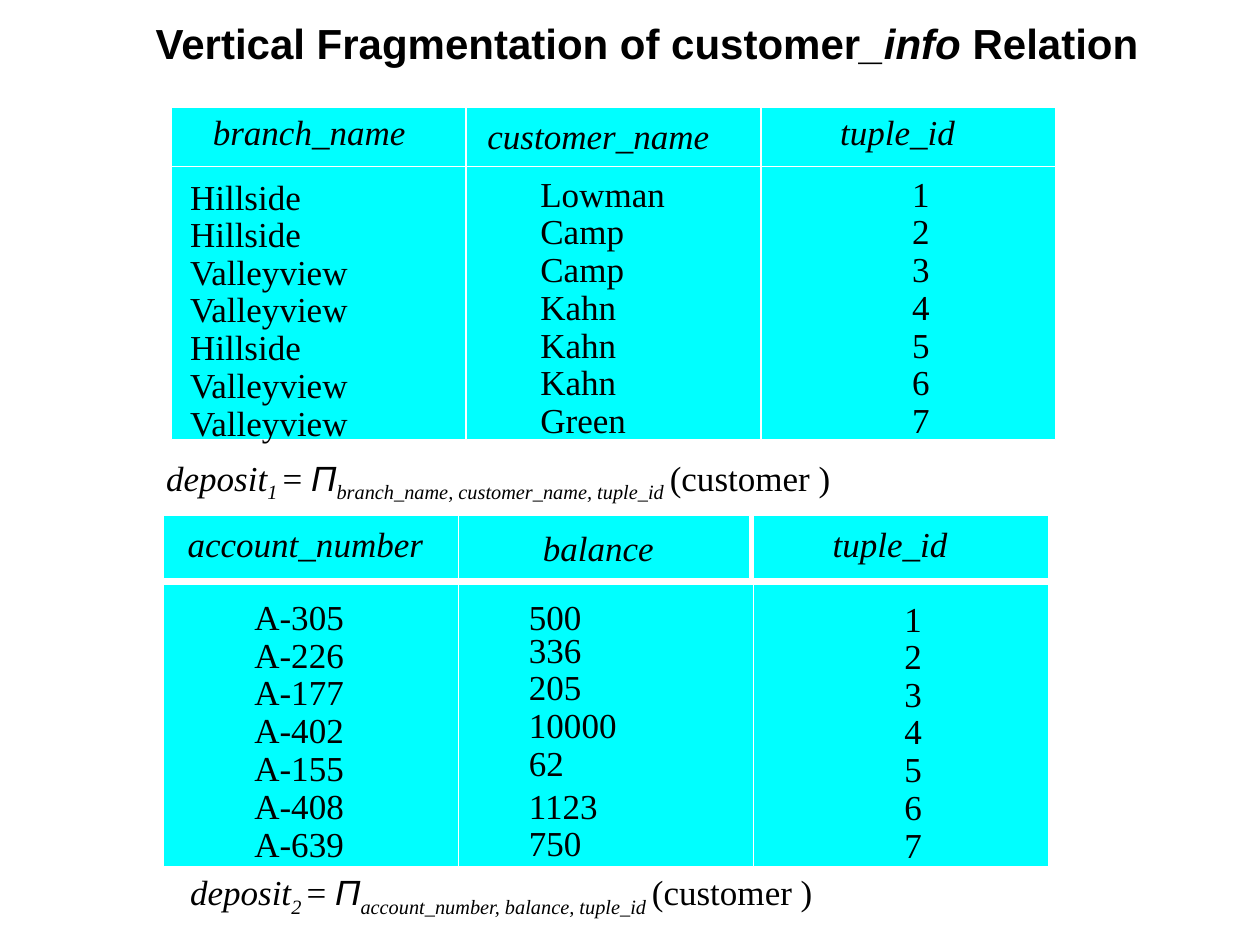
import dataclasses

import pptx
import pptx.dml.color
import pptx.enum.shapes
import pptx.enum.text
import pptx.util

EMU_PER_PX = 9144


@dataclasses.dataclass(frozen=True)
class Theme:
    cell: str = "00FFFF"
    border: str = "FFFFFF"
    text: str = "000000"
    title_font: str = "Arial"
    body_font: str = "Times New Roman"
    title_size: int = 24
    body_size: int = 20
    border_width: float = 0.75


THEME = Theme()
COLUMN_WIDTH = 234
HEADER_HEIGHT = 50
TUPLE_IDS = ["1", "2", "3", "4", "5", "6", "7"]


@dataclasses.dataclass(frozen=True)
class Column:
    name: str
    name_box: tuple
    values: list
    values_box: tuple
    spacings: tuple = (1,) + (0.9,) * 6
    header_width: int = COLUMN_WIDTH


def px(length):
    return pptx.util.Emu(length * EMU_PER_PX)


def colour(value):
    return pptx.dml.color.RGBColor.from_string(value)


def add_cell(slide, left, top, width, height):
    shape = slide.shapes.add_shape(
        pptx.enum.shapes.MSO_SHAPE.RECTANGLE, px(left), px(top), px(width), px(height))
    shape.shadow.inherit = False
    shape.fill.solid()
    shape.fill.fore_color.rgb = colour(THEME.cell)
    shape.line.color.rgb = colour(THEME.border)
    shape.line.width = pptx.util.Pt(THEME.border_width)


def add_text_frame(slide, box, wrap=False):
    frame = slide.shapes.add_textbox(*map(px, box)).text_frame
    frame.word_wrap = wrap
    frame.auto_size = pptx.enum.text.MSO_AUTO_SIZE.SHAPE_TO_FIT_TEXT
    return frame


def style_paragraph(paragraph, font=THEME.body_font, size=THEME.body_size):
    paragraph.font.name = font
    paragraph.font.size = pptx.util.Pt(size)
    paragraph.font.color.rgb = colour(THEME.text)


def add_run(paragraph, text, italic=False, subscript=False, font=None):
    run = paragraph.add_run()
    run.text = text
    run.font.italic = italic
    if font:
        run.font.name = font
    if subscript:
        run._r.get_or_add_rPr().set("baseline", "-25000")


def add_title(slide):
    frame = add_text_frame(slide, (65, 7, 897, 58), wrap=True)
    frame.auto_size = pptx.enum.text.MSO_AUTO_SIZE.NONE
    frame.vertical_anchor = pptx.enum.text.MSO_ANCHOR.MIDDLE
    paragraph = frame.paragraphs[0]
    paragraph.alignment = pptx.enum.text.PP_ALIGN.CENTER
    paragraph.line_spacing = 0.9
    style_paragraph(paragraph, THEME.title_font, THEME.title_size)
    paragraph.font.bold = True
    add_run(paragraph, "Vertical Fragmentation of customer")
    add_run(paragraph, "_info ", italic=True)
    add_run(paragraph, "Relation")


def add_lines(slide, box, lines, spacings=(1,), italic=False):
    frame = add_text_frame(slide, box)
    frame.text = "\n".join(lines)
    for paragraph, spacing in zip(frame.paragraphs, spacings):
        paragraph.line_spacing = spacing
        style_paragraph(paragraph)
        paragraph.font.italic = italic


def add_fragment(slide, left, header_top, body_top, body_height, columns):
    for index, column in enumerate(columns):
        column_left = left + index * COLUMN_WIDTH
        add_cell(slide, column_left, header_top, column.header_width, HEADER_HEIGHT)
        add_lines(slide, column.name_box, [column.name], italic=True)
        add_cell(slide, column_left, body_top, COLUMN_WIDTH, body_height)
        add_lines(slide, column.values_box, column.values, column.spacings)


def add_projection(slide, box, index, columns):
    paragraph = add_text_frame(slide, box, wrap=True).paragraphs[0]
    style_paragraph(paragraph)
    attributes = ", ".join(column.name for column in columns)
    add_run(paragraph, "deposit", italic=True)
    add_run(paragraph, f"{index} ", italic=True, subscript=True)
    add_run(paragraph, "= ")
    add_run(paragraph, "Π", italic=True, font=THEME.title_font)
    add_run(paragraph, f"{attributes} ", italic=True, subscript=True)
    add_run(paragraph, "(customer )")


def main():
    presentation = pptx.Presentation()
    presentation.slide_width = px(1000)
    presentation.slide_height = px(750)
    slide = presentation.slides.add_slide(presentation.slide_layouts[6])

    customer_columns = [
        Column("branch_name", (159, 83, 175, 44),
               ["Hillside", "Hillside", "Valleyview", "Valleyview",
                "Hillside", "Valleyview", "Valleyview"],
               (141, 134, 148, 224)),
        Column("customer_name", (377, 86, 198, 44),
               ["Lowman", "Camp", "Camp", "Kahn", "Kahn", "Kahn", "Green"],
               (419, 132, 121, 224)),
        Column("tuple_id", (657, 83, 113, 44), TUPLE_IDS, (714, 132, 36, 224)),
    ]
    account_columns = [
        Column("account_number", (139, 410, 209, 44),
               ["A-305", "A-226", "A-177", "A-402", "A-155", "A-408", "A-639"],
               (192, 468, 93, 224)),
        Column("balance", (421, 413, 110, 44),
               ["500", "336", "205", "10000", "62", "1123", "750"],
               (410, 464, 94, 227),
               spacings=(1.1, 0.8, 0.9, 0.9, 0.9, 1, 0.9), header_width=231),
        Column("tuple_id", (651, 410, 113, 44), TUPLE_IDS, (708, 469, 36, 224)),
    ]

    add_title(slide)
    add_fragment(slide, 136, 85, 132, 217, customer_columns)
    add_projection(slide, (122, 357, 796, 48), 1, customer_columns)
    add_fragment(slide, 130, 409, 464, 224, account_columns)
    add_projection(slide, (141, 686, 735, 48), 2, account_columns)
    presentation.save("out.pptx")


if __name__ == "__main__":
    main()
